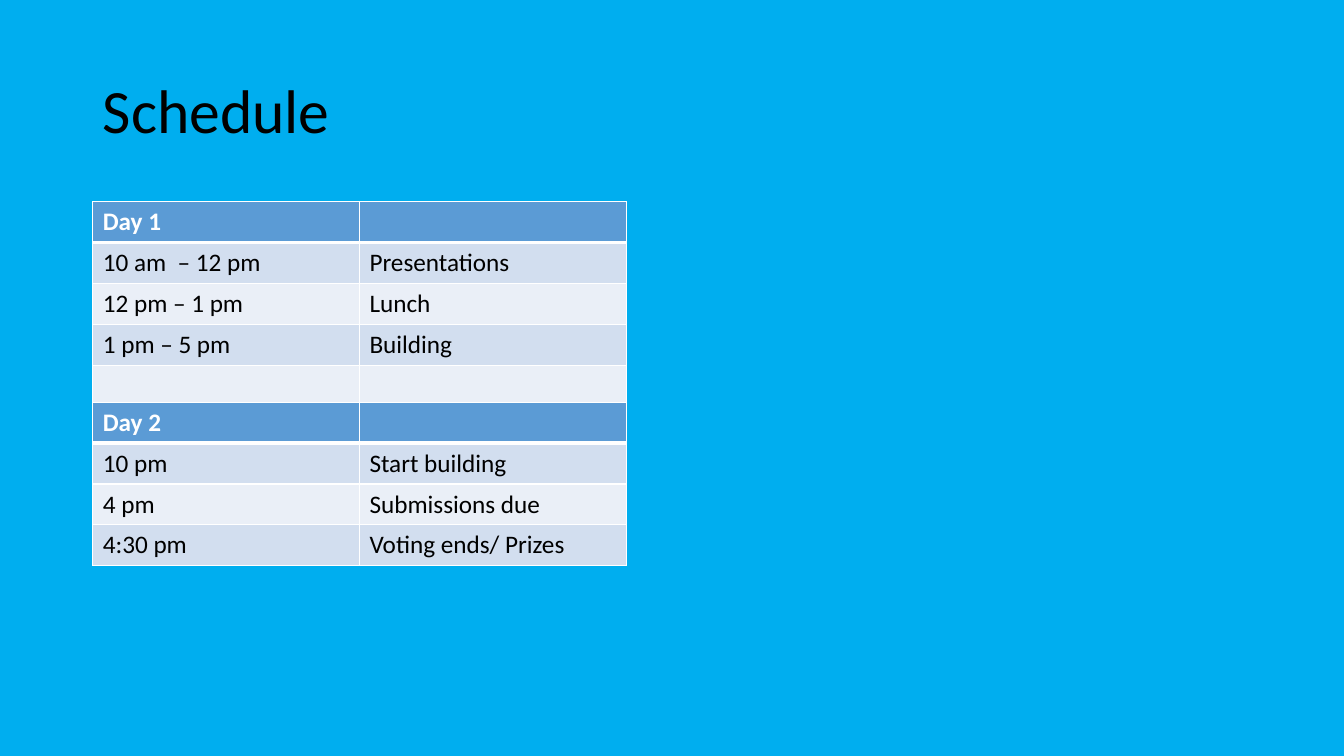
from pptx import Presentation
from pptx.dml.color import RGBColor
from pptx.enum import text
from pptx.oxml import parse_xml
from pptx.oxml.ns import nsdecls
from pptx.util import Inches, Pt

COLORS = {
    "background": "00AEEF",
    "header": "5B9BD5",
    "odd": "D2DEEF",
    "even": "EAEFF7",
    "white": "FFFFFF",
    "black": "000000",
}
FONT = "Calibri"
LEFT, TABLE_WIDTH = 0.92, 5.29

DAYS = [
    (2, 3.24, [
        ("Day 1", ""),
        ("10 am  – 12 pm", "Presentations"),
        ("12 pm – 1 pm", "Lunch"),
        ("1 pm – 5 pm", "Building"),
    ] + [("", "")] * 4),
    (3.99, 1.62, [
        ("Day 2", ""),
        ("10 pm", "Start building"),
        ("4 pm", "Submissions due"),
        ("4:30 pm", "Voting ends/ Prizes"),
    ]),
]


def format_font(font, size, color, bold=False):
    font.name = FONT
    font.size = Pt(size)
    font.bold = bold
    font.color.rgb = RGBColor.from_string(COLORS[color])


def add_borders(cell, top, bottom):
    properties = cell._tc.get_or_add_tcPr()
    for side, width in (("L", 1), ("R", 1), ("T", top), ("B", bottom)):
        properties.append(parse_xml(
            f'<a:ln{side} {nsdecls("a")} w="{Pt(width)}"><a:solidFill>'
            f'<a:srgbClr val="{COLORS["white"]}"/></a:solidFill></a:ln{side}>'
        ))


presentation = Presentation()
presentation.slide_width = Inches(13.33)
presentation.slide_height = Inches(7.5)
slide = presentation.slides.add_slide(presentation.slide_layouts[5])
slide.background.fill.solid()
slide.background.fill.fore_color.rgb = RGBColor.from_string(COLORS["background"])

title = slide.shapes.title
title.left, title.top = Inches(LEFT), Inches(0.4)
title.width, title.height = Inches(11.5), Inches(1.45)
title.text_frame.text = "Schedule"
title.text_frame.vertical_anchor = text.MSO_ANCHOR.MIDDLE
paragraph = title.text_frame.paragraphs[0]
paragraph.alignment = text.PP_ALIGN.LEFT
paragraph.line_spacing = 0.9
format_font(paragraph.font, 44, "black")

for top, height, rows in DAYS:
    table = slide.shapes.add_table(
        len(rows), 2, Inches(LEFT), Inches(top), Inches(TABLE_WIDTH), Inches(height)
    ).table
    for row_index, row in enumerate(rows):
        is_header = row_index == 0
        fill = "header" if is_header else "odd" if row_index % 2 else "even"
        for column_index, label in enumerate(row):
            cell = table.cell(row_index, column_index)
            cell.text = label
            format_font(cell.text_frame.paragraphs[0].font, 18,
                        "white" if is_header else "black", is_header)
            add_borders(cell, 3 if row_index == 1 else 1, 3 if is_header else 1)
            cell.fill.solid()
            cell.fill.fore_color.rgb = RGBColor.from_string(COLORS[fill])

presentation.save("out.pptx")
